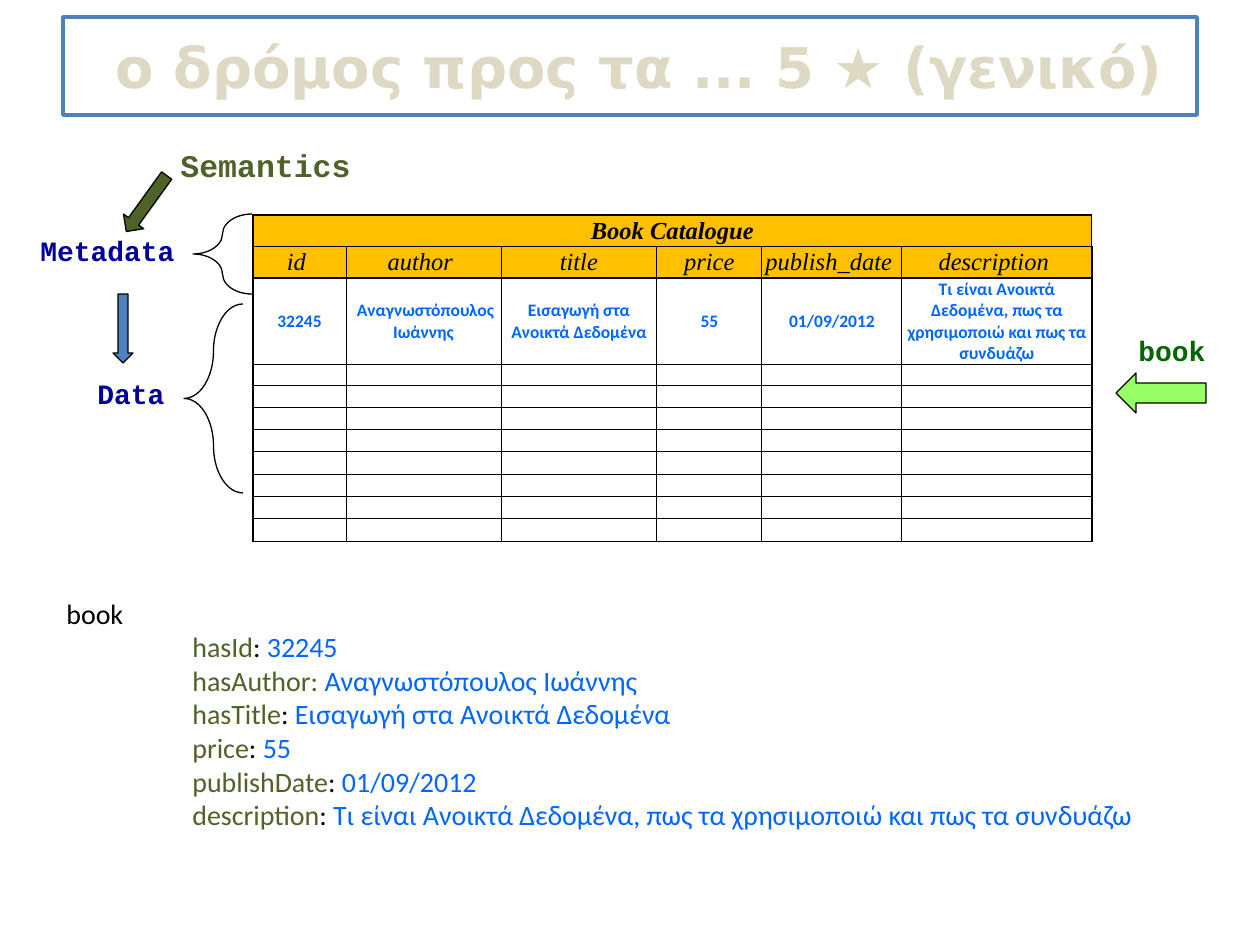
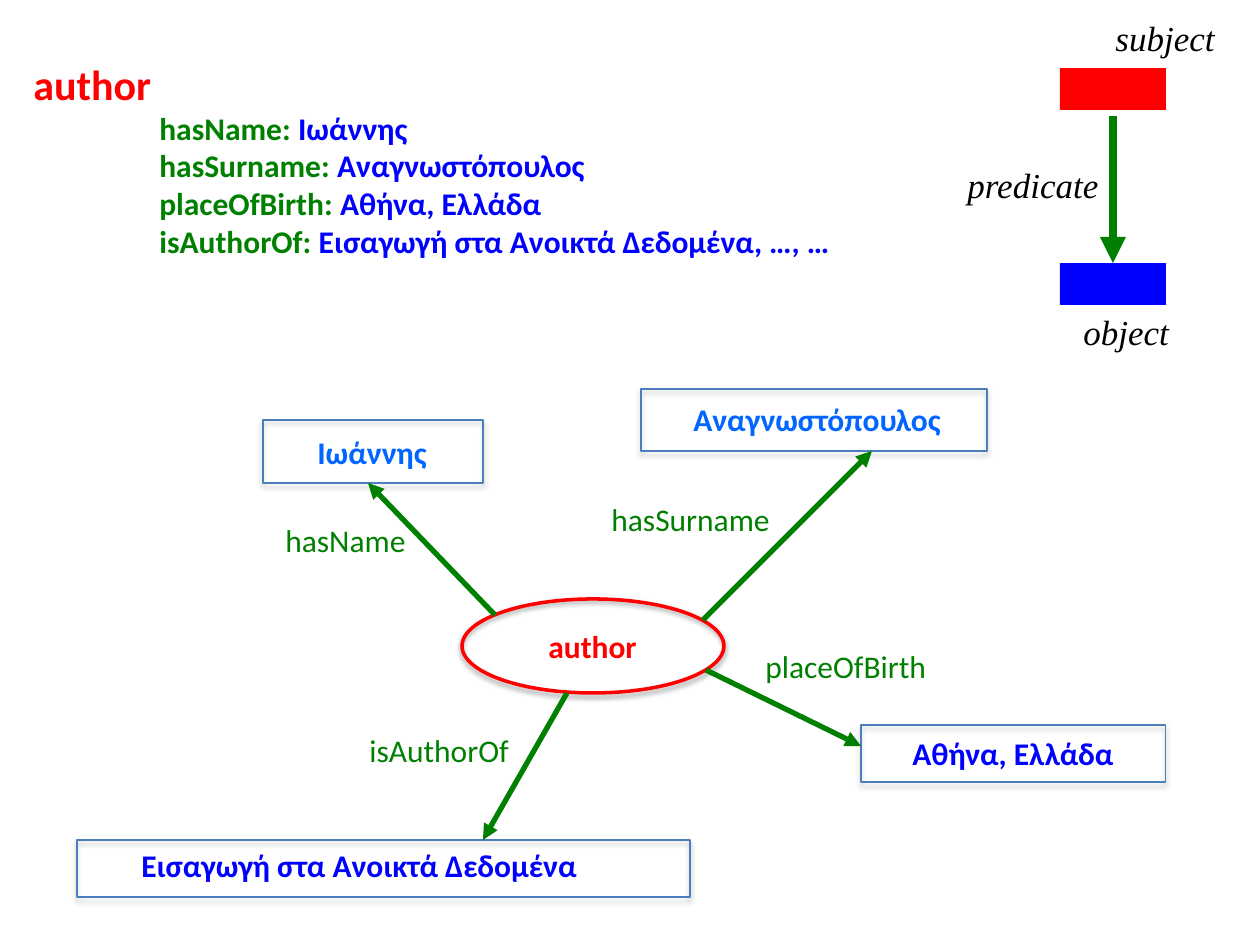
from lxml.etree import SubElement
from pptx import Presentation
from pptx.dml.color import RGBColor
from pptx.enum.shapes import MSO_CONNECTOR, MSO_SHAPE
from pptx.enum.text import MSO_ANCHOR, PP_ALIGN
from pptx.oxml.ns import qn
from pptx.util import Pt

PX = 7257  # EMU in one px, 126 px to the inch
rgb = RGBColor.from_string

BLACK, WHITE, CREAM = "000000", "FFFFFF", "DDD9C3"
OLIVE, NAVY, SKY = "4F6228", "000099", "0066FF"
RED, GREEN, BLUE = "FF0000", "008000", "0000FF"
STEEL, BOX_LINE, GOLD = "4F81BD", "4B7EBC", "FFC000"


def add_text(slide, at, text, font, size, color, bold=False, italic=False, wrap=True):
    frame = slide.shapes.add_textbox(*[v * PX for v in at]).text_frame
    frame.word_wrap = wrap
    paragraph = frame.paragraphs[0]
    paragraph.text = text
    paragraph.font.name, paragraph.font.size = font, Pt(size)
    paragraph.font.bold, paragraph.font.italic = bold, italic
    paragraph.font.color.rgb = rgb(color)
    return frame


def add_figure(slide, kind, at, fill=None, line=None, width=0.75):
    figure = slide.shapes.add_shape(kind, *[v * PX for v in at])
    figure.shadow.inherit = False
    if fill:
        figure.fill.solid()
        figure.fill.fore_color.rgb = rgb(fill)
    else:
        figure.fill.background()
    if line:
        figure.line.color.rgb = rgb(line)
        figure.line.width = Pt(width)
    else:
        figure.line.fill.background()
    return figure


prs = Presentation()
prs.slide_width, prs.slide_height = 1260 * PX, 945 * PX

# Slide 1: the book catalogue
catalogue = prs.slides.add_slide(prs.slide_layouts[5])

# Title
title = catalogue.shapes.title
title.left, title.top, title.width, title.height = [v * PX for v in (63, 17, 1134, 98)]
title.fill.solid()
title.fill.fore_color.rgb = rgb(WHITE)
title.line.color.rgb = rgb(STEEL)
title.line.width = Pt(2)
title.text_frame.margin_left = 32 * PX
title.text_frame.vertical_anchor = MSO_ANCHOR.MIDDLE
heading = title.text_frame.paragraphs[0]
heading.text = "ο δρόμος προς τα ... 5 ★ (γενικό)"
heading.alignment = PP_ALIGN.CENTER
heading.font.name, heading.font.size, heading.font.bold = "DejaVu Sans", Pt(32), True
heading.font.color.rgb = rgb(CREAM)

# Table
column_widths = [93, 155, 156, 105, 140, 190]
row_heights = [31, 32, 86] + [22, 22, 22, 22, 23, 22, 22, 23]
records = [
    ["Book Catalogue"],
    ["id ", "author ", "title", "price", "publish_date ", "description "],
    ["32245", " Αναγνωστόπουλος Ιωάννης", "Εισαγωγή στα Ανοικτά Δεδομένα", "55", "01/09/2012",
     "Τι είναι Ανοικτά Δεδομένα, πως τα χρησιμοποιώ και πως τα συνδυάζω"],
]
last_row, last_column = len(row_heights) - 1, len(column_widths) - 1
books = catalogue.shapes.add_table(
    len(row_heights), len(column_widths), 253 * PX, 215 * PX,
    sum(column_widths) * PX, sum(row_heights) * PX).table
books.first_row = books.horz_banding = False
for column, width in zip(books.columns, column_widths):
    column.width = width * PX
for r, height in enumerate(row_heights):
    books.rows[r].height = height * PX
    for c in range(len(column_widths)):
        cell = books.cell(r, c)
        cell.margin_left = cell.margin_right = cell.margin_top = PX
        cell.margin_bottom = 0
        cell.vertical_anchor = MSO_ANCHOR.MIDDLE

        # Thick lines run round the table and under the header
        thick_sides = {"L": c == 0, "R": c == last_column,
                       "T": r in (0, 2), "B": r in (1, last_row)}
        for side, thick in thick_sides.items():
            border = SubElement(cell._tc.get_or_add_tcPr(), qn("a:ln" + side),
                                w=str(Pt(1 if thick else 0.5)))
            SubElement(SubElement(border, qn("a:solidFill")), qn("a:srgbClr"), val=BLACK)

        header = r < 2
        if header:
            cell.fill.solid()
            cell.fill.fore_color.rgb = rgb(GOLD)
        else:
            cell.fill.background()

        entry = cell.text_frame.paragraphs[0]
        if r < len(records) and c < len(records[r]):
            entry.text = records[r][c]
            entry.alignment = PP_ALIGN.CENTER
            entry.font.name = "Times New Roman" if header else "Calibri"
            entry.font.size = Pt(14 if header else 10)
            entry.font.bold, entry.font.italic = r != 1, header
            entry.font.color.rgb = rgb(BLACK if header else SKY)
        else:
            SubElement(entry._p, qn("a:endParaRPr"), sz="900")
books.cell(0, 0).merge(books.cell(0, last_column))

# Braces beside header and data
for at in [(193, 214, 59, 80), (184, 304, 59, 189)]:
    brace = add_figure(catalogue, MSO_SHAPE.LEFT_BRACE, at, line=BLACK)
    brace.adjustments[0] = 0.96

# Arrows
for kind, at, color, rotation in [
    (MSO_SHAPE.DOWN_ARROW, (113, 294, 20, 69), STEEL, 0),
    (MSO_SHAPE.DOWN_ARROW, (134, 169, 25, 69), OLIVE, 35.8),
    (MSO_SHAPE.RIGHT_ARROW, (1116, 373, 90, 40), "99FF66", 180),
]:
    add_figure(catalogue, kind, at, color, BLACK).rotation = rotation

# Labels
for text, at, size, color in [
    ("Semantics", (168, 147, 220, 42), 18, OLIVE),
    ("Metadata", (28, 234, 190, 40), 16, NAVY),
    ("Data", (85, 377, 118, 40), 16, NAVY),
    ("book", (1126, 334, 118, 40), 16, "006600"),
]:
    label = add_text(catalogue, at, text, "Courier New", size, color, bold=True)
    label.paragraphs[0].line_spacing = 0.8

# Slide 2: the author graph
graph = prs.slides.add_slide(prs.slide_layouts[6])

# Legend
add_figure(graph, MSO_SHAPE.RECTANGLE, (1060, 68, 106, 42), RED)
object_key = add_figure(graph, MSO_SHAPE.RECTANGLE, (1060, 263, 106, 42), BLUE)
for text, at in [("subject", (1103, 10, 147, 54)),
                 ("predicate", (955, 157, 158, 54)),
                 ("object", (1071, 304, 147, 54))]:
    add_text(graph, at, text, "Times New Roman", 20, BLACK, italic=True)

# Nodes
for kind, at, color, width in [
    (MSO_SHAPE.OVAL, (462, 599, 262, 94), RED, 2),
    (MSO_SHAPE.RECTANGLE, (263, 420, 220, 63), BOX_LINE, 0.75),
    (MSO_SHAPE.RECTANGLE, (641, 389, 346, 62), BOX_LINE, 0.75),
    (MSO_SHAPE.RECTANGLE, (861, 725, 305, 57), BOX_LINE, 0.75),
    (MSO_SHAPE.RECTANGLE, (77, 840, 613, 57), BOX_LINE, 0.75),
]:
    node = add_figure(graph, kind, at, line=color, width=width)
    shadow = SubElement(node._element.spPr.find(qn("a:effectLst")), qn("a:outerShdw"),
                        blurRad=str(Pt(3.1)), dist=str(Pt(1.8)), dir="5400000", rotWithShape="0")
    shade = SubElement(shadow, qn("a:srgbClr"), val=BLACK)
    SubElement(shade, qn("a:alpha"), val="35000")

# Node and predicate names
for text, at, color, bold in [
    ("author", (536, 621, 115, 51), RED, True),
    ("Ιωάννης", (305, 427, 136, 51), SKY, True),
    ("Αναγνωστόπουλος", (681, 394, 276, 51), SKY, True),
    ("Αθήνα, Ελλάδα", (900, 728, 231, 51), BLUE, True),
    ("Εισαγωγή στα Ανοικτά Δεδομένα", (129, 840, 468, 51), BLUE, True),
    ("isAuthorOf", (357, 725, 170, 51), GREEN, False),
    ("hasName", (273, 515, 150, 51), GREEN, False),
    ("placeOfBirth", (753, 641, 192, 51), GREEN, False),
    ("hasSurname", (599, 494, 189, 51), GREEN, False),
]:
    add_text(graph, at, text, "Calibri", 18, color, bold=bold, wrap=False)

# Predicate arrows
for ends, width, target in [
    ((1113, 116, 1113, 263), 5, object_key),
    ((567, 693, 483, 840), 3, None),
    ((703, 620, 872, 451), 3, None),
    ((495, 615, 368, 483), 3, None),
    ((706, 670, 861, 746), 3, None),
]:
    predicate = graph.shapes.add_connector(MSO_CONNECTOR.STRAIGHT, *[v * PX for v in ends])
    if target:
        predicate.end_connect(target, 0)
    predicate.line.color.rgb = rgb(GREEN)
    predicate.line.width = Pt(width)
    SubElement(predicate.line._get_or_add_ln(), qn("a:tailEnd"), type="triangle")
    SubElement(predicate._element.spPr, qn("a:effectLst"))

# Property lists on both slides: name, separator, value
book_list = add_text(catalogue, (54, 590, 1131, 285), "book", "Calibri", 16, BLACK)
author_list = add_text(graph, (21, 52, 977, 217), "author", "Calibri", 24, RED, bold=True)
for properties, size, bold, name_color, value_color, rows in [
    (book_list, 16, False, OLIVE, SKY, [
        ("hasId", ": ", "32245"),
        ("hasAuthor:", " ", "Αναγνωστόπουλος Ιωάννης"),
        ("hasTitle", ": ", "Εισαγωγή στα Ανοικτά Δεδομένα"),
        ("price", ": ", "55"),
        ("publishDate", ": ", "01/09/2012"),
        ("description", ": ", "Τι είναι Ανοικτά Δεδομένα, πως τα χρησιμοποιώ και πως τα συνδυάζω"),
    ]),
    (author_list, 18, True, GREEN, BLUE, [
        ("hasName:", " ", "Ιωάννης"),
        ("hasSurname:", " ", "Αναγνωστόπουλος"),
        ("placeOfBirth:", " ", "Αθήνα, Ελλάδα"),
        ("isAuthorOf:", " ", "Εισαγωγή στα Ανοικτά Δεδομένα, …, …"),
    ]),
]:
    for row in rows:
        line = properties.add_paragraph()
        line._p.get_or_add_pPr().set("marL", str(126 * PX))
        line.font.name, line.font.size, line.font.bold = "Calibri", Pt(size), bold
        for text, color in zip(row, (name_color, BLACK, value_color)):
            run = line.add_run()
            run.text = text
            run.font.color.rgb = rgb(color)

prs.save("out.pptx")
